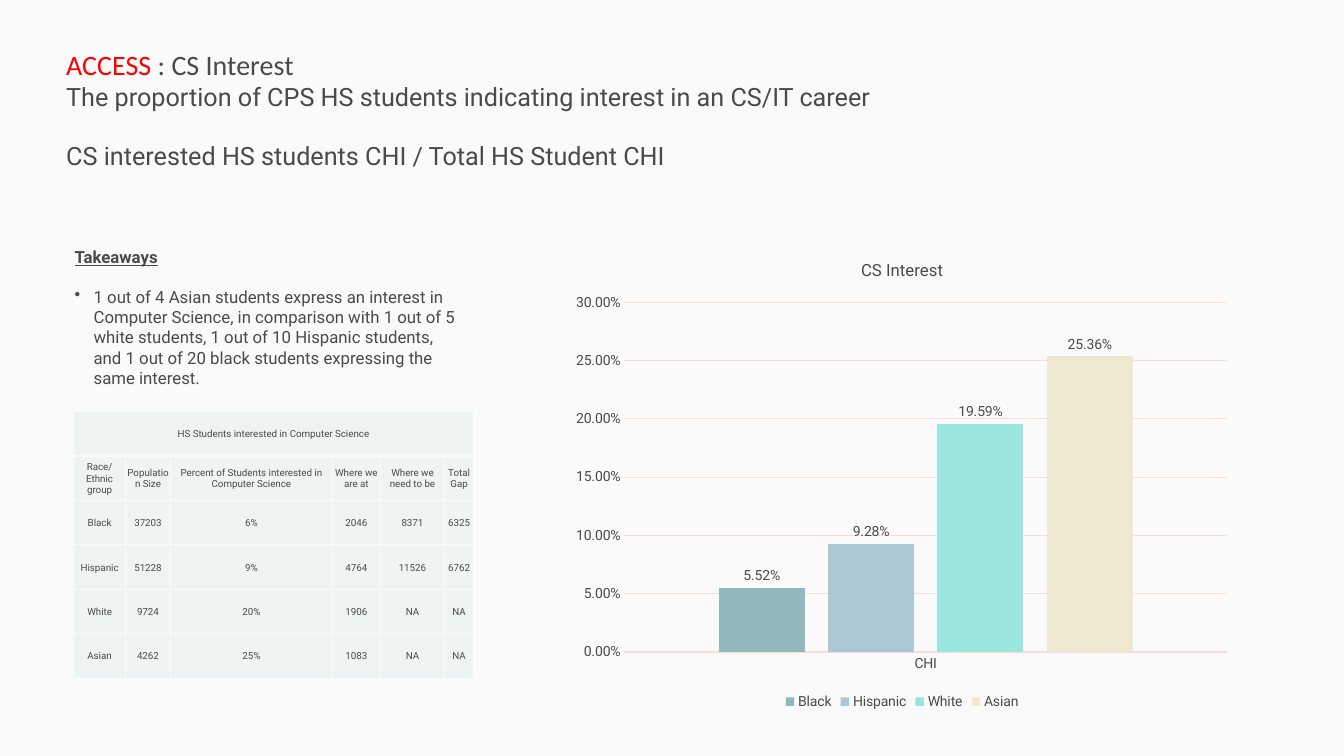
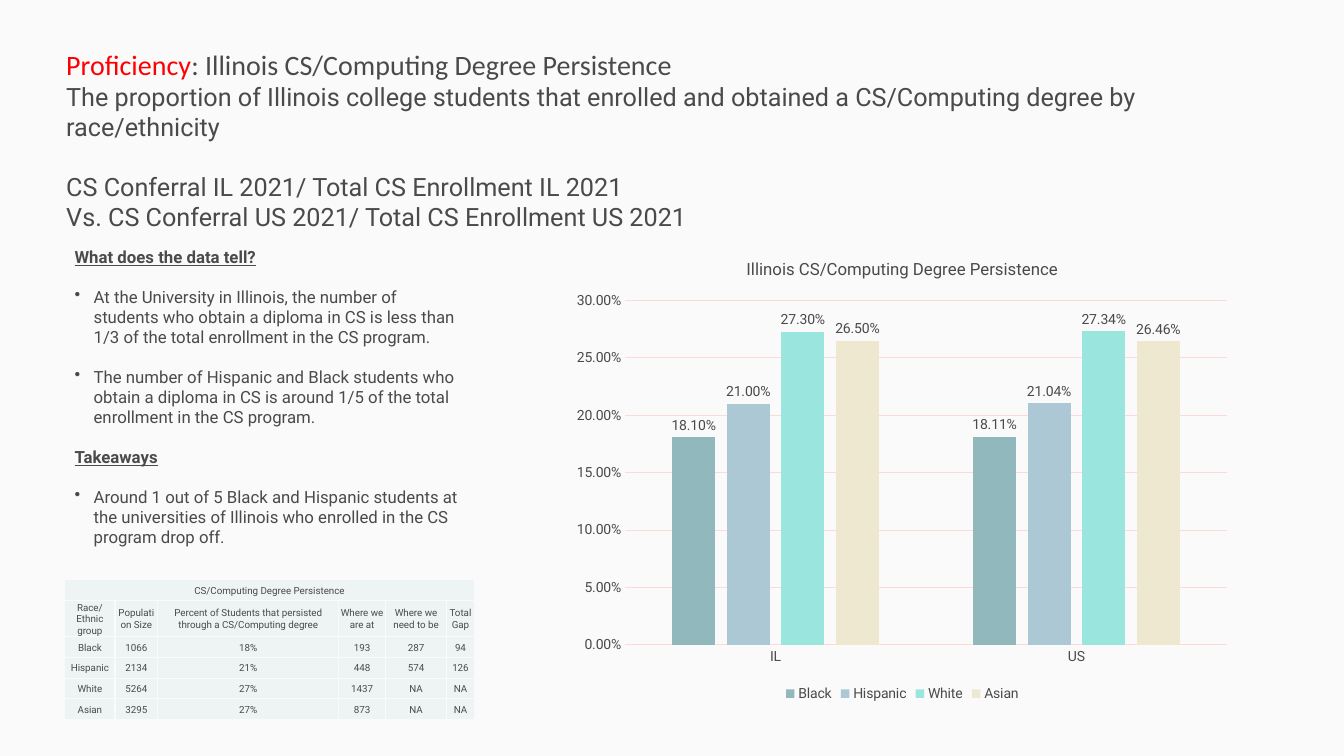
from pptx import Presentation
from pptx.chart.data import CategoryChartData
from pptx.dml.color import RGBColor
from pptx.enum.chart import XL_CHART_TYPE as ChartType, XL_LABEL_POSITION as LabelPos
from pptx.enum.chart import XL_LEGEND_POSITION as LegendPos, XL_TICK_MARK as Tick
from pptx.enum.text import MSO_ANCHOR as Anchor, PP_ALIGN as Align
from pptx.oxml import parse_xml
from pptx.oxml.ns import nsdecls
from pptx.util import Cm, Pt

INK, ACCENT, PAPER = "4A4A4A", "FF0000", "FAFAFA"
CELL, GRID = "EEF3F4", "FDD9D8"
GROUP_COLOURS = {"Black": "91B8BD", "Hispanic": "ACC8D4", "White": "9AE5DE", "Asian": "EFE8D1"}
HEADING_FONT, BODY_FONT = "Calibri", "Roboto"
PERCENT = "0.00%"
PLOT_AREA = {"x": 0.09, "y": 0.13, "w": 0.89, "h": 0.74}  # shares of the chart


def rgb(hex_colour):
    return RGBColor.from_string(hex_colour)


def style(font, size, name=BODY_FONT, colour=INK, bold=False):
    font.size, font.name, font.bold = Pt(size), name, bold
    font.color.rgb = rgb(colour)


def add_text_frame(slide, box):
    frame = slide.shapes.add_textbox(*map(Cm, box)).text_frame
    frame.word_wrap = True
    return frame


def next_paragraph(frame, is_first):
    return frame.paragraphs[0] if is_first else frame.add_paragraph()


def add_heading(slide, box, topic, subject, definition, formula):
    frame = add_text_frame(slide, box)
    headline = frame.paragraphs[0]
    style(headline.font, 20, HEADING_FONT)
    topic_run = headline.add_run()
    topic_run.text = topic
    topic_run.font.color.rgb = rgb(ACCENT)
    headline.add_run().text = subject
    for line in [definition, *formula]:
        paragraph = frame.add_paragraph()
        paragraph.text = line
        style(paragraph.font, 18)
        if line == formula[0]:
            paragraph.space_before = Pt(21)


def add_findings(slide, box, sections):
    frame = add_text_frame(slide, box)
    lines = [(text, is_title) for title, points in sections
             for text, is_title in [(title, True), *((point, False) for point in points)]]
    for i, (text, is_title) in enumerate(lines):
        paragraph = next_paragraph(frame, i == 0)
        paragraph.text = text
        if not is_title:
            properties = paragraph._p.get_or_add_pPr()
            properties.set("marL", str(Cm(0.48)))
            properties.set("indent", str(-Cm(0.48)))
            properties.append(parse_xml(f'<a:buChar {nsdecls("a")} char="•"/>'))
        if i:
            paragraph.space_before = Pt(14)
        style(paragraph.font, 12, bold=is_title)
        paragraph.font.underline = is_title


def style_cell(cell):
    cell.fill.solid()
    cell.fill.fore_color.rgb = rgb(CELL)
    cell.vertical_anchor = Anchor.MIDDLE
    cell.margin_left = cell.margin_right = cell.margin_top = Cm(0.03)
    cell.margin_bottom = 0
    paragraph = cell.text_frame.paragraphs[0]
    paragraph.alignment = Align.CENTER
    style(paragraph.font, 7)
    # Borders come before the fill in the cell properties
    for i, side in enumerate("LRTB"):
        cell._tc.get_or_add_tcPr().insert(i, parse_xml(
            f'<a:ln{side} {nsdecls("a")} w="{Pt(1)}"><a:solidFill>'
            f'<a:srgbClr val="{PAPER}"/></a:solidFill></a:ln{side}>'))


def add_gap_table(slide, left, top, widths, heights, title, measure, records):
    header = ["Race/Ethnic group", "Population Size", measure,
              "Where we are at", "Where we need to be", "Total Gap"]
    rows = [[title] + [""] * 5, header, *records]
    table = slide.shapes.add_table(len(rows), len(header), Cm(left), Cm(top),
                                   Cm(sum(widths)), Cm(sum(heights))).table
    table.first_row = table.horz_banding = False
    for column, width in zip(table.columns, widths):
        column.width = Cm(width)
    for r, (values, height) in enumerate(zip(rows, heights)):
        table.rows[r].height = Cm(height)
        for c, value in enumerate(values):
            cell = table.cell(r, c)
            cell.text = value
            style_cell(cell)
    table.cell(0, 0).merge(table.cell(0, len(header) - 1))


def add_group_chart(slide, box, title, categories, values):
    data = CategoryChartData(number_format=PERCENT)
    data.categories = categories
    for group, shares in zip(GROUP_COLOURS, values):
        data.add_series(group, shares)
    chart = slide.shapes.add_chart(ChartType.COLUMN_CLUSTERED, *map(Cm, box), data).chart
    style(chart.font, 10)

    # Title and legend
    chart.has_title = chart.has_legend = True
    chart.chart_title.include_in_layout = False
    title_frame = chart.chart_title.text_frame
    title_frame.text = title
    style(title_frame.paragraphs[0].font, 12)
    chart.legend.position = LegendPos.BOTTOM
    chart.legend.include_in_layout = False

    # Columns and labels
    plot = chart.plots[0]
    plot.gap_width, plot.overlap, plot.vary_by_categories = 219, -27, False
    for series, colour in zip(plot.series, GROUP_COLOURS.values()):
        series.format.fill.solid()
        series.format.fill.fore_color.rgb = rgb(colour)
    plot.has_data_labels = True
    labels = plot.data_labels
    labels.show_value, labels.position = True, LabelPos.OUTSIDE_END
    labels.number_format, labels.number_format_is_linked = PERCENT, False
    style(labels.font, 10)

    # Axes
    shares_axis, place_axis = chart.value_axis, chart.category_axis
    shares_axis.minimum_scale, shares_axis.maximum_scale = 0, 0.3
    shares_axis.major_unit = 0.05
    shares_axis.tick_labels.number_format = PERCENT
    shares_axis.tick_labels.number_format_is_linked = False
    shares_axis.format.line.fill.background()
    for axis in (shares_axis, place_axis):
        axis.major_tick_mark = axis.minor_tick_mark = Tick.NONE
        style(axis.tick_labels.font, 10)
    for line in (shares_axis.major_gridlines.format.line, place_axis.format.line):
        line.color.rgb, line.width = rgb(GRID), Pt(0.75)

    # Fixed plot area
    plot_area = chart._chartSpace.chart.plotArea
    for layout in plot_area.findall("{*}layout"):
        plot_area.remove(layout)
    modes = "".join(f'<c:{k}Mode val="edge"/>' for k in "xy")
    extents = "".join(f'<c:{k} val="{v}"/>' for k, v in PLOT_AREA.items())
    plot_area.insert(0, parse_xml(
        f'<c:layout {nsdecls("c")}><c:manualLayout><c:layoutTarget val="inner"/>'
        f'{modes}{extents}</c:manualLayout></c:layout>'))


def add_report_slide(deck, heading, findings, table, chart):
    slide = deck.slides.add_slide(deck.slide_layouts[6])
    slide.background.fill.solid()
    slide.background.fill.fore_color.rgb = rgb(PAPER)
    add_heading(slide, **heading)
    add_group_chart(slide, **chart)
    add_findings(slide, **findings)
    add_gap_table(slide, **table)


def main():
    deck = Presentation()
    deck.slide_width, deck.slide_height = Cm(33.87), Cm(19.05)

    # Interest in computer science
    add_report_slide(
        deck,
        heading=dict(
            box=(1.42, 1.07, 31.04, 3.43), topic="ACCESS ", subject=": CS Interest",
            definition="The proportion of CPS HS students indicating interest in an CS/IT career",
            formula=["CS interested HS students CHI / Total HS Student CHI"]),
        findings=dict(box=(1.63, 6.1, 10.31, 3.33), sections=[
            ("Takeaways", [
                "1 out of 4 Asian students express an interest in Computer Science, in comparison "
                "with 1 out of 5 white students, 1 out of 10 Hispanic students, and 1 out of 20 "
                "black students expressing the same interest."])]),
        table=dict(
            left=1.85, top=10.37, widths=[1.32, 1.12, 4.09, 1.2, 1.63, 0.72], heights=[1.12] * 6,
            title="HS Students interested in Computer Science",
            measure="Percent of Students interested in Computer Science",
            records=[["Black", "37203", "6%", "2046", "8371", "6325"],
                     ["Hispanic", "51228", "9%", "4764", "11526", "6762"],
                     ["White", "9724", "20%", "1906", "NA", "NA"],
                     ["Asian", "4262", "25%", "1083", "NA", "NA"]]),
        chart=dict(box=(14.2, 6.07, 17.07, 11.91), title="CS Interest", categories=["CHI"],
                   values=[[0.0552], [0.0928], [0.1959], [0.2536]]))

    # Degree persistence
    add_report_slide(
        deck,
        heading=dict(
            box=(1.42, 1.07, 31.04, 4.19), topic="Proficiency",
            subject=": Illinois CS/Computing Degree Persistence",
            definition="The proportion of Illinois college students that enrolled and obtained "
                       "a CS/Computing degree by race/ethnicity",
            formula=["CS Conferral IL 2021/ Total CS Enrollment IL 2021",
                     "Vs. CS Conferral US 2021/ Total CS Enrollment US 2021"]),
        findings=dict(box=(1.63, 6.1, 10.31, 8.97), sections=[
            ("What does the data tell?", [
                "At the University in Illinois, the number of students who obtain a diploma in CS "
                "is less than 1/3 of the total enrollment in the CS program.",
                "The number of Hispanic and Black students who obtain a diploma in CS is around "
                "1/5 of the total enrollment in the CS program."]),
            ("Takeaways", [
                "Around 1 out of 5 Black and Hispanic students at the universities of Illinois "
                "who enrolled in the CS program drop off."])]),
        table=dict(
            left=1.63, top=14.61, widths=[1.27, 1.07, 4.57, 1.17, 1.55, 0.69],
            heights=[0.52, 0.58] + [0.52] * 4,
            title="CS/Computing Degree Persistence",
            measure="Percent of Students that persisted through a CS/Computing degree",
            records=[["Black", "1066", "18%", "193", "287", "94"],
                     ["Hispanic", "2134", "21%", "448", "574", "126"],
                     ["White", "5264", "27%", "1437", "NA", "NA"],
                     ["Asian", "3295", "27%", "873", "NA", "NA"]]),
        chart=dict(box=(14.22, 6.05, 17.04, 11.73),
                   title="Illinois CS/Computing Degree Persistence", categories=["IL", "US"],
                   values=[[0.181, 0.1811], [0.21, 0.2104], [0.273, 0.2734], [0.265, 0.2646]]))

    deck.save("out.pptx")


if __name__ == "__main__":
    main()
